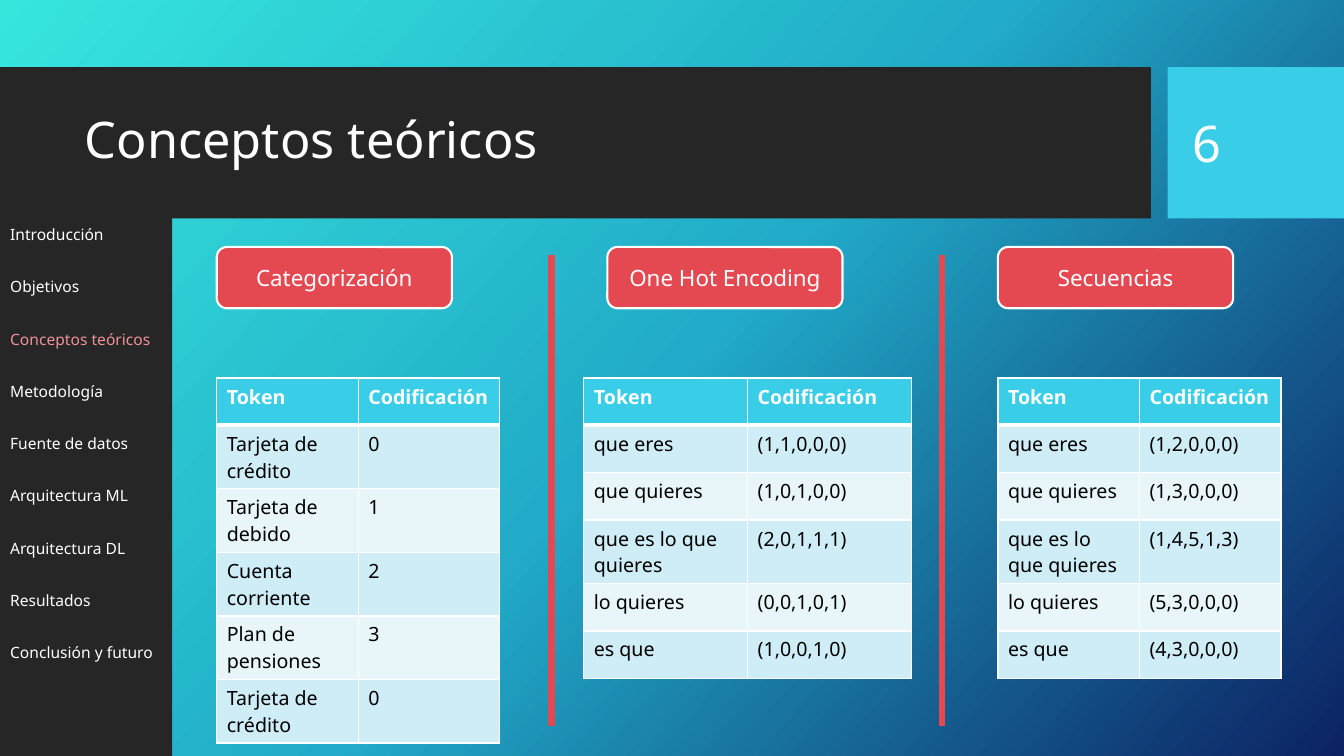
from dataclasses import dataclass

from lxml import etree
from pptx import Presentation
from pptx import util as u
from pptx.dml.color import RGBColor
from pptx.enum import shapes, text
from pptx.oxml.ns import qn

COLUMNS, ROWS = 160, 90  # the slide's layout grid


@dataclass(frozen=True)
class Theme:
    """Colours, font and type sizes of the deck."""
    font: str = "Noto Sans"
    dark: str = "262626"
    cyan: str = "39CDE7"
    red: str = "E44951"
    current: str = "EF9297"
    white: str = "FFFFFF"
    black: str = "000000"
    stripes: tuple = ("CEEDF6", "E8F6FA")
    gradient: tuple = ((0, "36E6DD"), (50, "21ABC8"), (100, "0C2263"))
    heading: float = 36
    badge: float = 16
    cell: float = 14
    menu: float = 11.1


@dataclass(frozen=True)
class Box:
    """A rectangle in grid columns and rows."""
    x: float
    y: float
    w: float
    h: float

    def inner(self, x, y, w, h):
        """Return a box placed relative to this one."""
        return Box(self.x + x, self.y + y, w, h)

    def emu(self):
        """Return left, top, width and height in EMU."""
        return (across(self.x), down(self.y), across(self.w), down(self.h))


THEME = Theme()
prs = Presentation()
prs.slide_width, prs.slide_height = u.Inches(13.33), u.Inches(7.5)


def across(columns):
    """Convert grid columns to EMU."""
    return round(prs.slide_width * columns / COLUMNS)


def down(rows):
    """Convert grid rows to EMU."""
    return round(prs.slide_height * rows / ROWS)


def rgb(value):
    """Turn a hex string into a colour."""
    return RGBColor.from_string(value)


def write(paragraph, words, size, color=THEME.white, bold=False):
    """Add one formatted run to a paragraph."""
    run = paragraph.add_run()
    run.text = words
    run.font.name, run.font.size, run.font.bold = THEME.font, u.Pt(size), bold
    run.font.color.rgb = rgb(color)


def place(item, box):
    """Move a placeholder to a box."""
    item.left, item.top, item.width, item.height = box.emu()


def panel(slide, box, color, kind=shapes.MSO_SHAPE.RECTANGLE):
    """Draw a flat filled shape without an outline."""
    shape = slide.shapes.add_shape(kind, *box.emu())
    shape.shadow.inherit = False
    shape.fill.solid()
    shape.fill.fore_color.rgb = rgb(color)
    shape.line.fill.background()
    return shape


def backdrop(slide):
    """Fill the background with the three-stop diagonal gradient."""
    fill = slide.background.fill
    fill.gradient()
    fill.gradient_angle = 318
    stops = slide.element.find(".//" + qn("a:gsLst"))
    for stop in list(stops):
        stops.remove(stop)
    for position, color in THEME.gradient:
        stop = etree.SubElement(stops, qn("a:gs"), pos=str(position * 1000))
        etree.SubElement(stop, qn("a:srgbClr"), val=color)


def header(slide, box, title, number):
    """Place the title band and the slide number tile."""
    panel(slide, box.inner(0, 0, 137, box.h), THEME.dark)
    panel(slide, box.inner(139, 0, 21, box.h), THEME.cyan)
    heading = slide.shapes.title
    place(heading, box.inner(8.9, 1.8, 126.1, 14.2))
    page = slide.shapes.add_textbox(*box.inner(140.8, 1.8, 15.1, 14.3).emu())
    for item, words in ((heading, title), (page, number)):
        frame = item.text_frame
        frame.word_wrap = True
        frame.auto_size = text.MSO_AUTO_SIZE.NONE
        frame.vertical_anchor = text.MSO_ANCHOR.MIDDLE
        paragraph = frame.paragraphs[0]
        paragraph.alignment = text.PP_ALIGN.LEFT
        write(paragraph, words, THEME.heading)
    heading.text_frame.paragraphs[0].line_spacing = 0.9


def menu(slide, box, entries, current):
    """Place the side menu, with the current section highlighted."""
    panel(slide, box, THEME.dark)
    listing = slide.placeholders[1]
    place(listing, box.inner(0, 18.8, 29.2, 55))
    frame = listing.text_frame
    frame.auto_size = text.MSO_AUTO_SIZE.NONE
    for index, entry in enumerate(entries):
        paragraph = frame.add_paragraph() if index else frame.paragraphs[0]
        paragraph.line_spacing = 0.7
        paragraph.space_before = u.Pt(28 if index else 0)
        props = paragraph._p.get_or_add_pPr()
        props.set("marL", "0")
        props.set("indent", "0")
        etree.SubElement(props, qn("a:buNone"))
        write(paragraph, entry, THEME.menu,
              THEME.current if entry == current else THEME.white)


def badge(slide, box, words):
    """Draw a rounded topic label."""
    shape = panel(slide, box, THEME.red, shapes.MSO_SHAPE.ROUNDED_RECTANGLE)
    shape.line.color.rgb = rgb(THEME.white)
    shape.line.width = u.Pt(1.5)
    shape.text_frame.vertical_anchor = text.MSO_ANCHOR.MIDDLE
    paragraph = shape.text_frame.paragraphs[0]
    paragraph.alignment = text.PP_ALIGN.CENTER
    write(paragraph, words, THEME.badge)


def divider(slide, box):
    """Draw a vertical rule down the left edge of a box."""
    left, top, _, height = box.emu()
    rule = slide.shapes.add_connector(
        shapes.MSO_CONNECTOR.STRAIGHT, left, top, left, top + height)
    rule.line.color.rgb = rgb(THEME.red)
    rule.line.width = u.Pt(4.5)
    etree.SubElement(rule._element.spPr, qn("a:effectLst"))


def borders(cell, top, bottom):
    """Give a cell white borders; top and bottom widths are in points."""
    props = cell._tc.get_or_add_tcPr()
    sides = (("lnL", 1), ("lnR", 1), ("lnT", top), ("lnB", bottom))
    for index, (side, width) in enumerate(sides):
        line = etree.Element(qn("a:" + side), w=str(u.Pt(width)))
        fill = etree.SubElement(line, qn("a:solidFill"))
        etree.SubElement(fill, qn("a:srgbClr"), val=THEME.white)
        props.insert(index, line)


def encoding_table(slide, box, pairs):
    """Draw a striped table of tokens and their codes."""
    rows = [("Token", "Codificación"), *pairs]
    table = slide.shapes.add_table(len(rows), 2, *box.emu()).table
    for r, row in enumerate(rows):
        table.rows[r].height = down(box.h / len(rows))
        for c, words in enumerate(row):
            cell = table.cell(r, c)
            cell.fill.solid()
            cell.fill.fore_color.rgb = rgb(
                THEME.stripes[(r - 1) % 2] if r else THEME.cyan)
            borders(cell, 3 if r == 1 else 1, 1 if r else 3)
            write(cell.text_frame.paragraphs[0], words, THEME.cell,
                  THEME.black if r else THEME.white, bold=r == 0)


def topics(slide, box, entries):
    """Place one labelled table per column, with rules between columns."""
    pitch = 46.5
    for index, (name, offset, width, pairs) in enumerate(entries):
        column = box.inner(index * pitch, 0, pitch, box.h)
        badge(slide, column.inner(0, 3.4, 28, 7.3), name)
        encoding_table(slide, column.inner(offset, 19, width, 33.84), pairs)
        if index < len(entries) - 1:
            divider(slide, column.inner(39.85, 4.4, 0, 56))


SECTIONS = ("Introducción", "Objetivos", "Conceptos teóricos", "Metodología",
            "Fuente de datos", "Arquitectura ML", "Arquitectura DL",
            "Resultados", "Conclusión y futuro")
PRODUCTS = ("Tarjeta de crédito", "Tarjeta de debido", "Cuenta corriente",
            "Plan de pensiones", "Tarjeta de crédito")
PHRASES = ("que eres", "que quieres", "que es lo que quieres", "lo quieres", "es que")
ONE_HOT = ("(1,1,0,0,0)", "(1,0,1,0,0)", "(2,0,1,1,1)", "(0,0,1,0,1)", "(1,0,0,1,0)")
SEQUENCES = ("(1,2,0,0,0)", "(1,3,0,0,0)", "(1,4,5,1,3)", "(5,3,0,0,0)", "(4,3,0,0,0)")
TOPICS = (("Categorización", 0, 33.7, zip(PRODUCTS, "01230")),
          ("One Hot Encoding", -2.8, 39, zip(PHRASES, ONE_HOT)),
          ("Secuencias", 0, 33.7, zip(PHRASES, SEQUENCES)))

concepts = prs.slides.add_slide(prs.slide_layouts[1])
backdrop(concepts)
menu(concepts, Box(0, 8, 20.5, 82), SECTIONS, SECTIONS[2])
header(concepts, Box(0, 8, COLUMNS, 18), SECTIONS[2], "6")
for holder in list(concepts.placeholders):  # lift the text above the panels
    concepts.shapes._spTree.append(holder._element)
topics(concepts, Box(25.8, 26, 134.2, 64), TOPICS)
prs.save("out.pptx")
